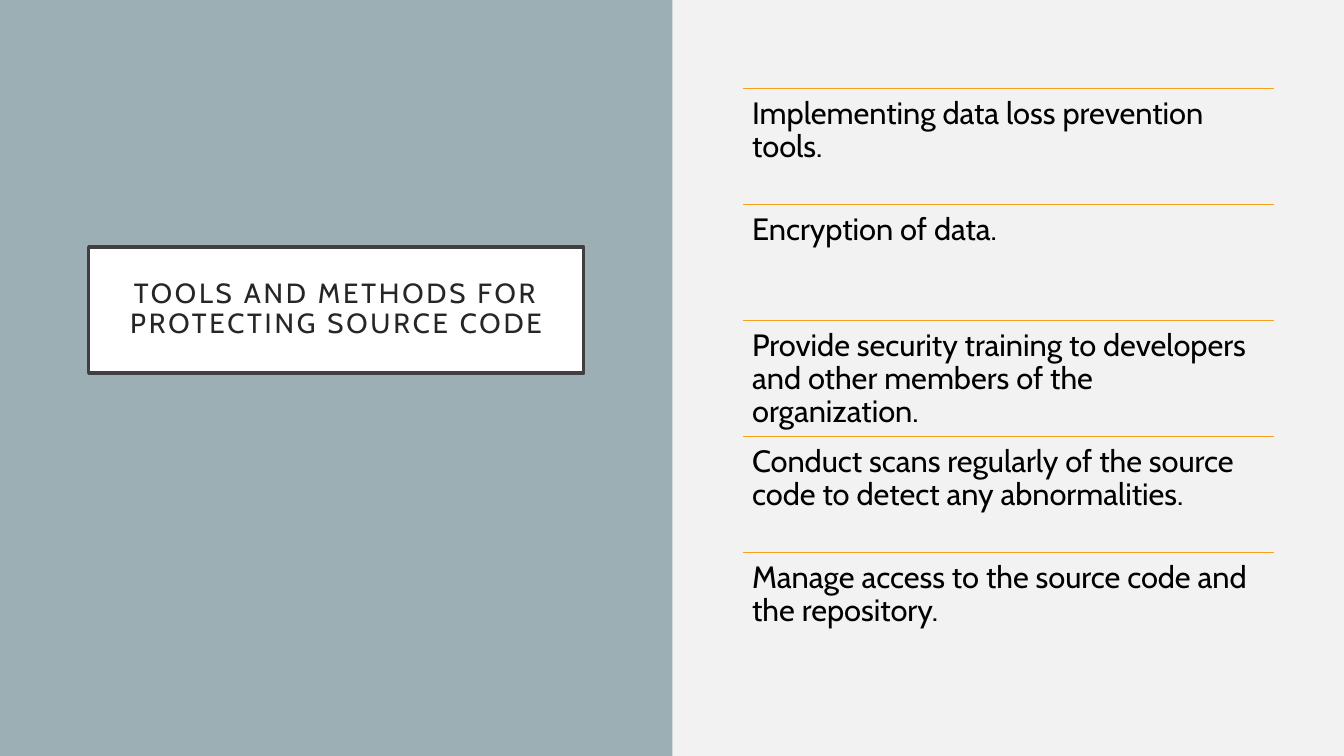
from dataclasses import dataclass

from lxml.etree import SubElement
from pptx import Presentation
from pptx.dml.color import RGBColor
from pptx.enum.shapes import MSO_CONNECTOR as Connector, MSO_SHAPE as Shape
from pptx.enum.text import MSO_ANCHOR as Anchor, MSO_AUTO_SIZE as AutoSize, PP_ALIGN as Align
from pptx.oxml.ns import qn
from pptx.util import Pt

EMU_PER_PX = 9144  # 100 px to the inch
SLIDE_W, SLIDE_H = 1333, 750
PANEL_W = 667
ROW_LEFT, ROW_TOP, ROW_W, ROW_H = 737, 88, 527, 115

HEADING = "TOOLS AND METHODS FOR PROTECTING SOURCE CODE"
METHODS = [
    "Implementing data loss prevention tools.",
    "Encryption of data.",
    "Provide security training to developers and other members of the organization.",
    "Conduct scans regularly of the source code to detect any abnormalities.",
    "Manage access to the source code and the repository.",
]


@dataclass(frozen=True)
class Theme:
    font: str = "Cabin"
    background: str = "F2F2F2"
    panel: str = "9BAFB5"
    heading_fill: str = "FFFFFF"
    heading_border: str = "404040"
    heading_text: str = "262626"
    rule: str = "F6A21D"
    body_text: str = "000000"
    heading_size: float = 19.8
    body_size: float = 22
    border_width: float = 2.5
    rule_width: float = 1


def px(*lengths):
    return [length * EMU_PER_PX for length in lengths]


def rgb(colour):
    return RGBColor.from_string(colour)


class SlideBuilder:
    def __init__(self, slide, theme):
        self.slide = slide
        self.theme = theme
        fill = slide.background.fill
        fill.solid()
        fill.fore_color.rgb = rgb(theme.background)

    def set_text(self, shape, text, *, size, colour, inset, align=Align.LEFT,
                 anchor=Anchor.TOP, tracking=0):
        """Put one formatted paragraph in the shape; tracking is in points."""
        frame = shape.text_frame
        frame.word_wrap = True
        frame.auto_size = AutoSize.NONE
        frame.vertical_anchor = anchor
        frame.margin_left, frame.margin_top, frame.margin_right, frame.margin_bottom = px(*[inset] * 4)
        paragraph = frame.paragraphs[0]
        paragraph.alignment = align
        paragraph.line_spacing = 0.9
        paragraph.space_before = Pt(0)
        run = paragraph.add_run()
        run.text = text
        run.font.name = self.theme.font
        run.font.size = Pt(size)
        run.font.color.rgb = rgb(colour)
        if tracking:
            run.font._element.set("spc", str(tracking * 100))

    def back_panel(self, left, top, width, height):
        """Add a plain rectangle behind everything else."""
        panel = self.slide.shapes.add_shape(Shape.RECTANGLE, *px(left, top, width, height))
        panel.shadow.inherit = False
        panel.fill.solid()
        panel.fill.fore_color.rgb = rgb(self.theme.panel)
        panel.line.fill.background()
        self.slide.shapes._spTree.insert(2, panel._element)

    def heading(self, text, left, top, width, height):
        title = self.slide.shapes.title
        title.left, title.top, title.width, title.height = px(left, top, width, height)
        title.fill.solid()
        title.fill.fore_color.rgb = rgb(self.theme.heading_fill)
        title.line.color.rgb = rgb(self.theme.heading_border)
        title.line.width = Pt(self.theme.border_width)
        self.set_text(title, text, size=self.theme.heading_size, colour=self.theme.heading_text,
                      inset=20, align=Align.CENTER, anchor=Anchor.MIDDLE, tracking=2)

    def rule(self, left, top, width):
        rule = self.slide.shapes.add_connector(
            Connector.STRAIGHT, *px(left, top, left + width, top))
        rule.line.color.rgb = rgb(self.theme.rule)
        rule.line.width = Pt(self.theme.rule_width)
        SubElement(rule._element.spPr, qn("a:effectLst"))

    def ruled_row(self, text, left, top, width, height):
        self.rule(left, top, width)
        row = self.slide.shapes.add_textbox(*px(left, top, width, height))
        self.set_text(row, text, size=self.theme.body_size, colour=self.theme.body_text, inset=9)


def main():
    deck = Presentation()
    deck.slide_width, deck.slide_height = px(SLIDE_W, SLIDE_H)
    title_only = deck.slide_layouts.get_by_name("Title Only")
    builder = SlideBuilder(deck.slides.add_slide(title_only), Theme())

    builder.back_panel(0, 0, PANEL_W, SLIDE_H)
    builder.heading(HEADING, 88, 245, 491, 125)
    for index, method in enumerate(METHODS):
        builder.ruled_row(method, ROW_LEFT, ROW_TOP + index * ROW_H, ROW_W, ROW_H)

    deck.save("out.pptx")


if __name__ == "__main__":
    main()
